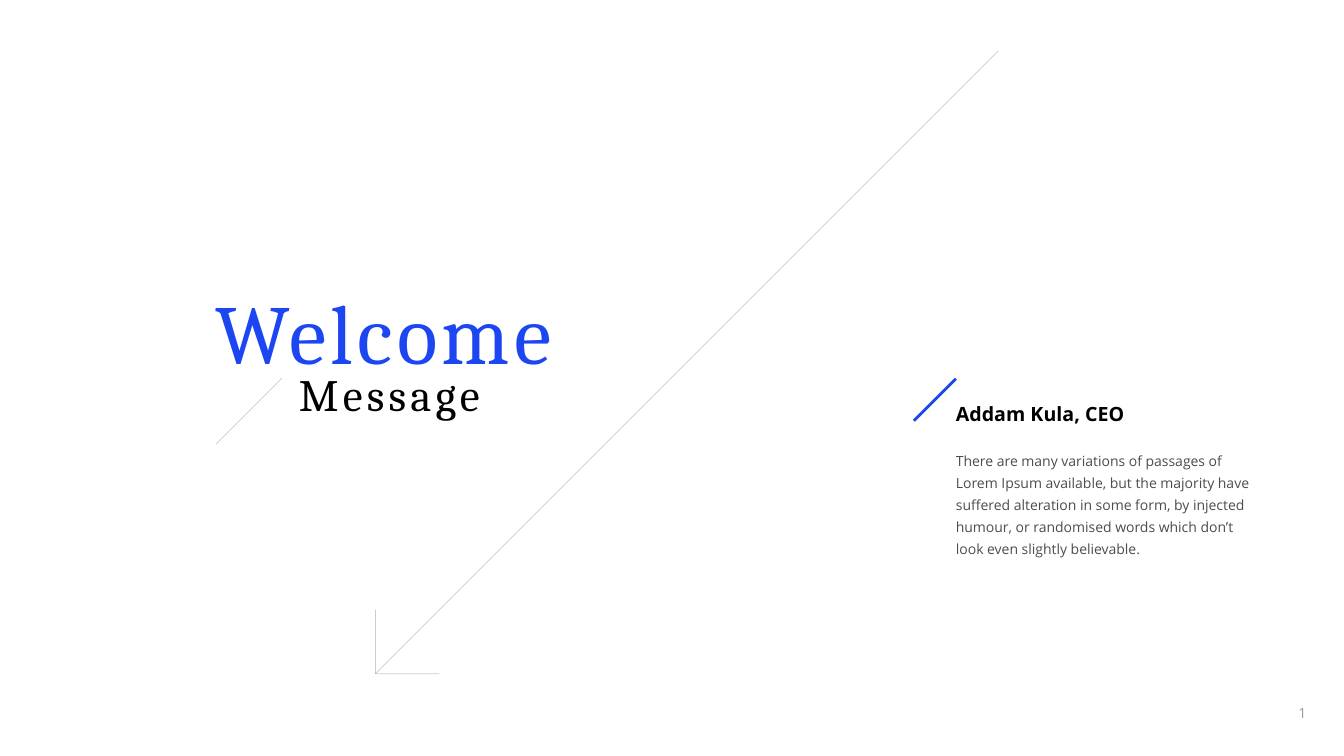
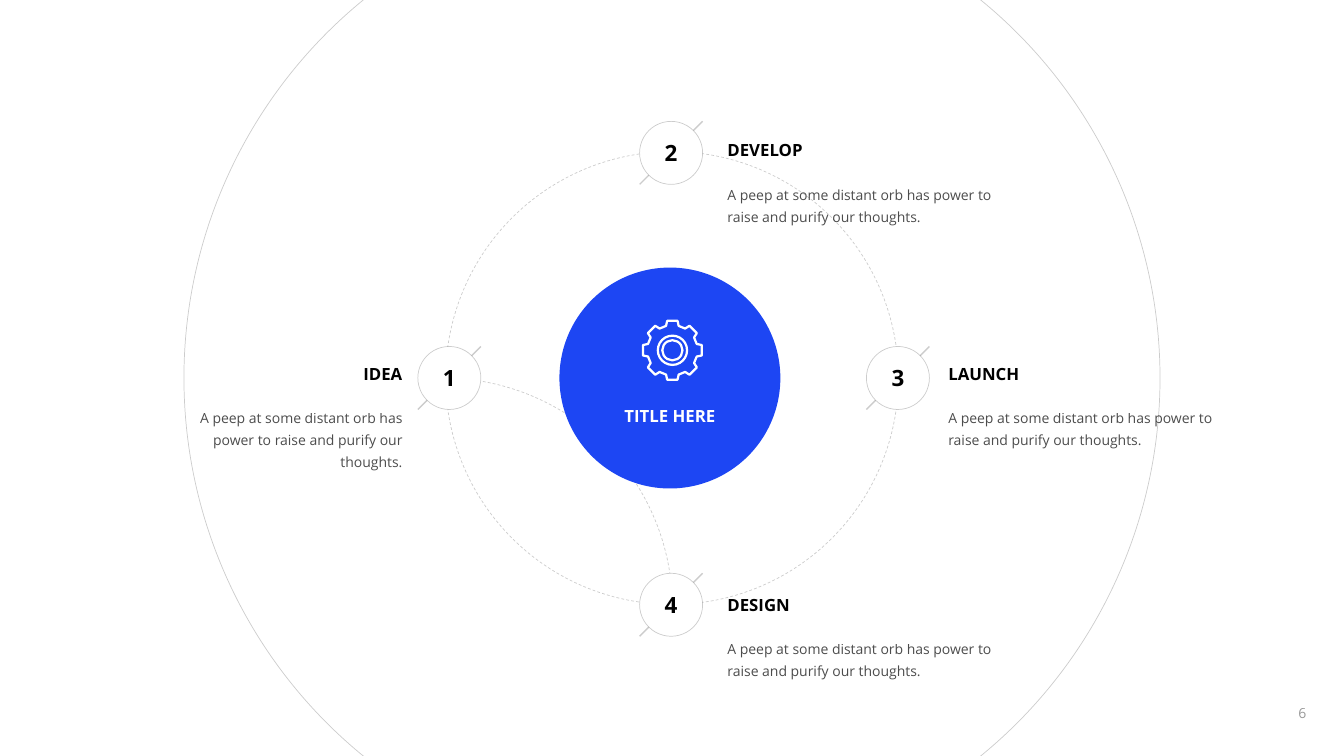
"""Build a welcome slide and a four-step cycle slide on a 160 by 90 grid."""
import math

from lxml import etree
from pptx import Presentation
from pptx import util as u
from pptx.dml.color import RGBColor
from pptx.enum import dml, shapes, text
from pptx.oxml.ns import qn

COLUMNS, ROWS = 160, 90
CELL = u.Inches(7.5) / ROWS
COLORS = {"ink": "000000", "accent": "1D46F3", "paper": "FFFFFF"}
SANS, SERIF = "Open Sans", "Cambria"
LEFT, CENTER, RIGHT = text.PP_ALIGN.LEFT, text.PP_ALIGN.CENTER, text.PP_ALIGN.RIGHT
STYLES = {
    "title": {"size": 60, "name": SERIF, "color": "accent", "tracking": 300},
    "subtitle": {"size": 32, "name": SERIF, "tracking": 300},
    "name": {"size": 14, "bold": True},
    "heading": {"size": 12, "bold": True},
    "body": {"size": 10, "alpha": 70, "spacing": 1.3},
    "page": {"size": 10, "alpha": 40},
    "number": {"size": 16, "bold": True},
    "hub": {"size": 12, "bold": True, "color": "paper"},
}
RING_CENTER = (80, 45)
NODE_RADIUS = 3.75
BODY_DROP = 4.9
THOUGHT = "A peep at some distant orb has power to raise and purify our thoughts."
STEPS = [
    {"number": "1", "center": (53.5, 45), "label": "IDEA", "edge": 47.9, "top": 42.7,
     "label_width": 4.7, "body_size": (26, 9.1), "align": RIGHT},
    {"number": "2", "center": (79.9, 18.2), "label": "DEVELOP", "edge": 86.6, "top": 16.1,
     "label_width": 9, "body_size": (34.4, 6.5), "align": LEFT},
    {"number": "3", "center": (106.9, 45), "label": "LAUNCH", "edge": 112.9, "top": 42.7,
     "label_width": 8.5, "body_size": (34.4, 6.5), "align": LEFT},
    {"number": "4", "center": (79.9, 72), "label": "DESIGN", "edge": 86.6, "top": 70.2,
     "label_width": 7.6, "body_size": (34.4, 6.5), "align": LEFT},
]


def cells(*lengths):
    """Convert grid cells to slide units."""
    return [u.Emu(round(length * CELL)) for length in lengths]


def rgb(color):
    """Look up a palette colour."""
    return RGBColor.from_string(COLORS[color])


def fade(element, percent):
    """Set the opacity of every colour inside an element."""
    for color in element.iter(qn("a:srgbClr")):
        etree.SubElement(color, qn("a:alpha")).set("val", str(percent * 1000))


def set_line(shape, color="ink", width=0.5, alpha=20, dash=None):
    """Style a shape's outline or a connector."""
    shape.line.color.rgb = rgb(color)
    shape.line.width = u.Pt(width)
    if dash:
        shape.line.dash_style = dash
    if alpha < 100:
        fade(shape.element.spPr.find(qn("a:ln")), alpha)


def add_line(canvas, start, end, **look):
    """Draw a straight line without a shadow."""
    line = canvas.add_connector(shapes.MSO_CONNECTOR.STRAIGHT, *cells(*start, *end))
    set_line(line, **look)
    etree.SubElement(line.element.spPr, qn("a:effectLst"))
    return line


def add_round(page, center, radius, fill=None, line=None, kind=shapes.MSO_SHAPE.OVAL):
    """Draw a circle or an arc about a centre."""
    x, y = center
    shape = page.shapes.add_shape(
        kind, *cells(x - radius, y - radius, 2 * radius, 2 * radius))
    finish(shape, fill, line)
    return shape


def finish(shape, fill, line):
    """Set a shape's fill and outline and remove its shadow."""
    shape.shadow.inherit = False
    if fill:
        shape.fill.solid()
        shape.fill.fore_color.rgb = rgb(fill)
    else:
        shape.fill.background()
    if line is None:
        shape.line.fill.background()
    else:
        set_line(shape, **line)


def write(shape, words, style, align=LEFT):
    """Put one styled paragraph in a shape."""
    look = {"name": SANS, "color": "ink", "bold": False, **STYLES[style]}
    para = shape.text_frame.paragraphs[0]
    para.alignment = align
    if "spacing" in look:
        para.line_spacing = look["spacing"]
    span = para.add_run()
    span.text = words
    font = {"name": look["name"], "bold": look["bold"], "size": u.Pt(look["size"])}
    for key, value in font.items():
        setattr(span.font, key, value)
    span.font.color.rgb = rgb(look["color"])
    properties = shape.element.txBody.find(".//" + qn("a:rPr"))
    if "tracking" in look:
        properties.set("spc", str(look["tracking"]))
    if "alpha" in look:
        fade(properties, look["alpha"])


def add_text(page, place, words, style, align=LEFT, wrap=False, **frame):
    """Add a text box that grows with its words."""
    box = page.shapes.add_textbox(*cells(*place))
    layout = {"margin_left": 0, "margin_right": 0, "word_wrap": wrap,
              "auto_size": text.MSO_AUTO_SIZE.SHAPE_TO_FIT_TEXT, **frame}
    for key, value in layout.items():
        setattr(box.text_frame, key, value)
    write(box, words, style, align)


def add_page(deck, number):
    """Add a blank page with its page number."""
    page = deck.slides.add_slide(deck.slide_layouts[6])
    add_text(page, (151.7, 83.4, 6.7, 3), number, "page", CENTER, True,
             margin_top=0, margin_bottom=0, vertical_anchor=text.MSO_ANCHOR.MIDDLE,
             auto_size=text.MSO_AUTO_SIZE.NONE)
    return page


def add_long_arrow(page, tip, length, arm):
    """Draw the diagonal arrow with its two arms as a group."""
    x, y = tip
    group = page.shapes.add_group_shape()
    for end in ((x + length, y - length), (x, y - arm), (x + arm, y)):
        add_line(group.shapes, tip, end)


def add_gear(page, center, teeth=8, root=2.9, outer=3.5):
    """Draw a gear outline with two rings inside."""
    x, y = center
    stroke = {"color": "paper", "width": 1.6, "alpha": 100}
    profile = [(-0.75, root), (-0.62, outer), (0.62, outer), (0.75, root)]
    points = []
    for tooth in range(teeth):
        turn = 2 * math.pi * tooth / teeth
        for across, out in profile:
            points.append(cells(x + out * math.sin(turn) + across * math.cos(turn),
                                y - out * math.cos(turn) + across * math.sin(turn)))
    builder = page.shapes.build_freeform(*points[0])
    builder.add_line_segments(points[1:], close=True)
    finish(builder.convert_to_shape(), None, stroke)
    for radius in (1.74, 1.2):
        add_round(page, center, radius, line=stroke)


def add_step(page, step):
    """Draw a numbered node with its tick, heading and text."""
    x, y = step["center"]
    reach = NODE_RADIUS
    add_line(page.shapes, (x - reach, y + reach), (x + reach, y - reach), width=1)
    node = add_round(page, step["center"], reach, "paper", {})
    node.text_frame.vertical_anchor = text.MSO_ANCHOR.MIDDLE
    write(node, step["number"], "number", CENTER)
    width, height = step["body_size"]
    rows = [(step["label"], "heading", step["label_width"], 3.6, 0, False),
            (THOUGHT, "body", width, height, BODY_DROP, True)]
    for words, style, wide, high, drop, wrap in rows:
        left = step["edge"] - (wide if step["align"] == RIGHT else 0)
        add_text(page, (left, step["top"] + drop, wide, high), words, style,
                 step["align"], wrap)


def build_welcome(deck):
    """Build the welcome message page."""
    page = add_page(deck, "1")
    add_long_arrow(page, (44.7, 80.2), 74.15, 7.6)
    add_text(page, (25.7, 32.8, 45.1, 13.3), "Welcome", "title")
    add_text(page, (35.6, 43.1, 24, 7.7), "Message", "subtitle")
    add_line(page.shapes, (25.7, 52.9), (33.6, 45))
    add_line(page.shapes, (108.8, 50.1), (113.8, 45.1), color="accent", width=2, alpha=100)
    add_text(page, (113.8, 47.2, 20.2, 4.1), "Addam Kula, CEO", "name")
    add_text(page, (113.8, 52.7, 35.8, 14.2),
             "There are many variations of passages of Lorem Ipsum available, but the "
             "majority have suffered alteration in some form, by injected humour, or "
             "randomised words which don’t look even slightly believable.",
             "body", wrap=True)


def build_cycle(deck):
    """Build the four-step cycle page."""
    page = add_page(deck, "6")
    dashed = {"dash": dml.MSO_LINE.DASH}
    add_round(page, (52.75, 72.3), 27.3, line=dashed, kind=shapes.MSO_SHAPE.ARC)
    add_round(page, RING_CENTER, 58.1, line={})
    add_round(page, RING_CENTER, 26.95, line=dashed)
    for step in STEPS:
        add_step(page, step)
    hub = add_round(page, (79.75, 45), 13.15, "accent")
    hub.text_frame.margin_top = u.Inches(0.79)
    hub.text_frame.vertical_anchor = text.MSO_ANCHOR.MIDDLE
    write(hub, "TITLE HERE", "hub", CENTER)
    add_gear(page, (80.05, 41.7))


def main():
    """Build and save the deck."""
    deck = Presentation()
    deck.slide_width, deck.slide_height = cells(COLUMNS, ROWS)
    build_welcome(deck)
    build_cycle(deck)
    deck.save("out.pptx")


main()
